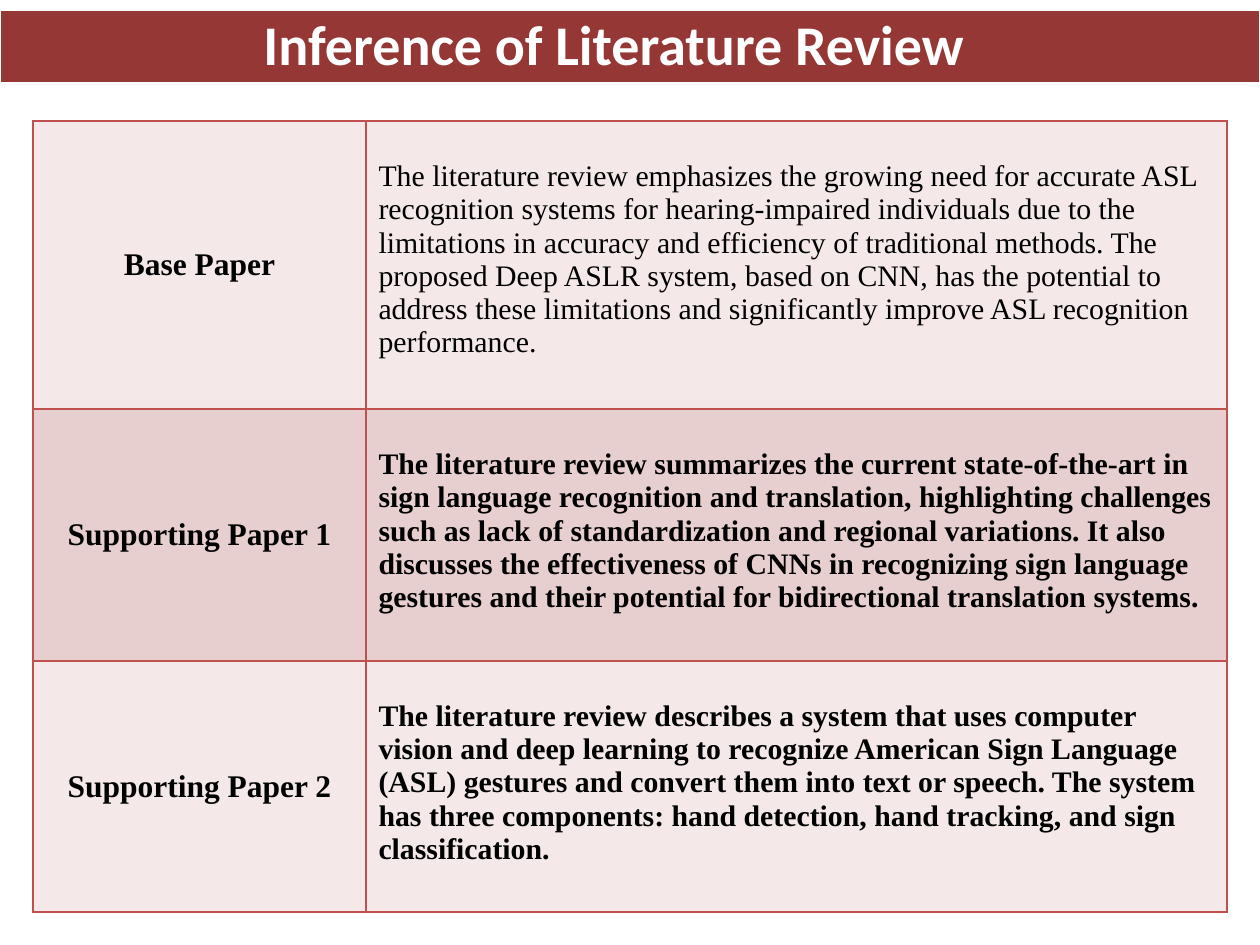
import pptx
import pptx.util
import pptx.dml.color
import pptx.enum.shapes
import pptx.enum.text
import pptx.oxml

PX = 914400 // 126
THEME = {
    "bar": "953734", "white": "FFFFFF", "ink": "000000", "border": "C0504D",
    "bands": ["F4E8E8", "E8CFCF"],
    "title_font": "Calibri", "table_font": "Times New Roman",
    "title": 32, "label": 18, "body": 17,
}
ALIGN = pptx.enum.text.PP_ALIGN
ANCHOR = pptx.enum.text.MSO_ANCHOR


def style(para, name, size, colour, bold, align):
    para.alignment = align
    para.font.name = name
    para.font.size = pptx.util.Pt(size)
    para.font.bold = bold
    para.font.color.rgb = pptx.dml.color.RGBColor.from_string(colour)


def fill_cell(cell, colour):
    properties = cell._tc.get_or_add_tcPr()
    for side in ("lnL", "lnR", "lnT", "lnB"):
        properties.append(pptx.oxml.parse_xml(
            f'<a:{side} xmlns:a="http://schemas.openxmlformats.org/drawingml/2006/main" w="12700">'
            f'<a:solidFill><a:srgbClr val="{THEME["border"]}"/></a:solidFill></a:{side}>'))
    cell.fill.solid()
    cell.fill.fore_color.rgb = pptx.dml.color.RGBColor.from_string(colour)


deck = pptx.Presentation()
deck.slide_width, deck.slide_height = 1260 * PX, 945 * PX
page = deck.slides.add_slide(deck.slide_layouts[5])

title = page.shapes.title
title.left, title.top, title.width, title.height = 63 * PX, -1 * PX, 1102 * PX, 88 * PX
title.text_frame.text = "Inference of Literature Review"
title.text_frame.vertical_anchor = ANCHOR.MIDDLE
style(title.text_frame.paragraphs[0], THEME["title_font"], THEME["title"],
      THEME["white"], True, ALIGN.CENTER)

bar = page.shapes.add_shape(pptx.enum.shapes.MSO_SHAPE.RECTANGLE,
                            0, 10 * PX, 1260 * PX, 73 * PX)
bar.shadow.inherit = False
bar.fill.solid()
bar.fill.fore_color.rgb = pptx.dml.color.RGBColor.from_string(THEME["bar"])
bar.line.color.rgb = pptx.dml.color.RGBColor.from_string(THEME["white"])
bar.line.width = pptx.util.Pt(0.75)
title._element.addprevious(bar._element)

papers = [
    ("Base Paper", 288, False,
     "The literature review emphasizes the growing need for accurate ASL recognition systems for "
     "hearing-impaired individuals due to the limitations in accuracy and efficiency of traditional "
     "methods. The proposed Deep ASLR system, based on CNN, has the potential to address these "
     "limitations and significantly improve ASL recognition performance."),
    ("Supporting Paper 1", 252, True,
     "The literature review summarizes the current state-of-the-art in sign language recognition and "
     "translation, highlighting challenges such as lack of standardization and regional variations. "
     "It also discusses the effectiveness of CNNs in recognizing sign language gestures and their "
     "potential for bidirectional translation systems."),
    ("Supporting Paper 2", 251, True,
     "The literature review describes a system that uses computer vision and deep learning to "
     "recognize American Sign Language (ASL) gestures and convert them into text or speech. The "
     "system has three components: hand detection, hand tracking, and sign classification."),
]
widths = [333, 861]
table = page.shapes.add_table(len(papers), len(widths), 33 * PX, 121 * PX, sum(widths) * PX,
                              sum(paper[1] for paper in papers) * PX).table
table.first_row = False
table.horz_banding = False
for column, width in zip(table.columns, widths):
    column.width = width * PX

for index, (label, height, bold, summary) in enumerate(papers):
    table.rows[index].height = height * PX
    label_cell, summary_cell = table.rows[index].cells
    label_cell.text, summary_cell.text = label, summary
    label_cell.vertical_anchor = ANCHOR.MIDDLE
    summary_cell.vertical_anchor = ANCHOR.TOP
    summary_cell.margin_top = 39 * PX
    style(label_cell.text_frame.paragraphs[0], THEME["table_font"], THEME["label"],
          THEME["ink"], True, ALIGN.CENTER)
    style(summary_cell.text_frame.paragraphs[0], THEME["table_font"], THEME["body"],
          THEME["ink"], bold, ALIGN.LEFT)
    for cell in (label_cell, summary_cell):
        fill_cell(cell, THEME["bands"][index % 2])

deck.save("out.pptx")
